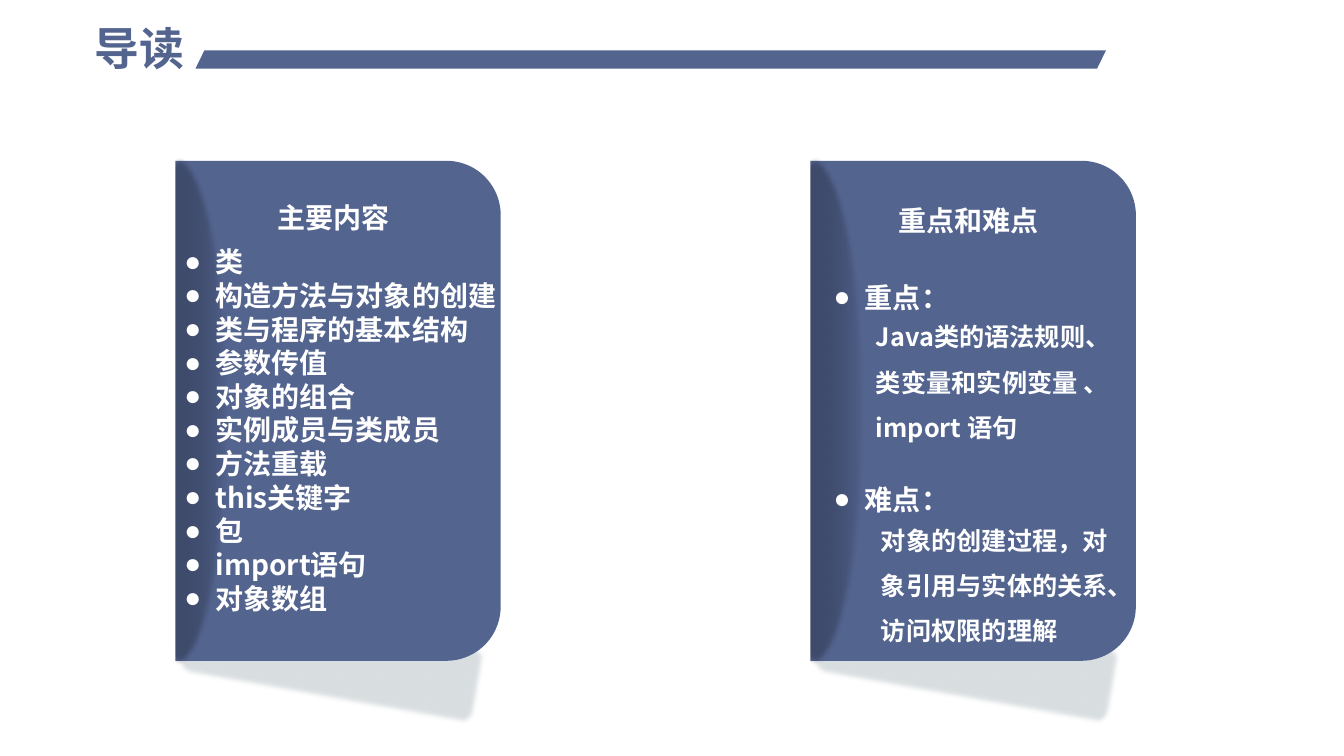
from dataclasses import dataclass

from lxml import etree
from pptx import Presentation
from pptx.dml.color import RGBColor
from pptx.enum.shapes import MSO_SHAPE
from pptx.enum.text import MSO_AUTO_SIZE
from pptx.oxml.ns import qn
from pptx.util import Inches, Pt

RECT = MSO_SHAPE.RECTANGLE
ROUND = MSO_SHAPE.ROUNDED_RECTANGLE
CARD = MSO_SHAPE.ROUND_2_SAME_RECTANGLE
OVAL = MSO_SHAPE.OVAL
SLANT = MSO_SHAPE.PARALLELOGRAM
NO_FIT = MSO_AUTO_SIZE.NONE

# The grid has 100 columns and 100 rows.
WIDE, HIGH = Inches(13.33), Inches(7.5)
COL, ROW = WIDE / 100, HIGH / 100
STEP = 47.26  # columns from the left card to the right one

FONT = "Noto Sans CJK SC"
BLUE, WHITE, GREY, BLACK = "53648F", "FFFFFF", "A1ACB2", "000000"
SOFT = Inches(0.05)


@dataclass
class Box:
    """A place on the grid, in columns and rows."""
    left: float
    top: float
    width: float
    height: float

    def shift(self, cols: float) -> "Box":
        return Box(self.left + cols, self.top, self.width, self.height)

    def size(self) -> tuple[int, ...]:
        return (round(self.left * COL), round(self.top * ROW),
                round(self.width * COL), round(self.height * ROW))


@dataclass
class Form:
    kind: int
    box: Box
    fill: str
    turn: float = 0
    bend: float | None = None
    alpha: int = 100
    fade: bool = False
    soft: bool = False


@dataclass
class Note:
    box: Box
    lines: list[str]
    size: int = 20
    color: str = WHITE
    space: float = 1
    before: int = 0
    indent: float = 0
    bullet: bool = False


PARTS = [
    Form(ROUND, Box(13.35, 81.87, 22.66, 10.93), GREY, turn=10.1, bend=0.158,
         alpha=40, soft=True),
    Form(CARD, Box(6.53, 32.8, 37.21, 43.07), BLUE, turn=90),
    Form(OVAL, Box(9.53, 20.53, 7.65, 67.47), BLUE, fade=True, soft=True),
    Form(RECT, Box(6.3, 17.73, 6.75, 72.4), WHITE),
]
BAR = Form(SLANT, Box(14.55, 6.67, 67.74, 2.4), BLUE, bend=0.49)

TOPICS = ["类", "构造方法与对象的创建", "类与程序的基本结构", "参数传值",
          "对象的组合", "实例成员与类成员", "方法重载", "this关键字", "包",
          "import语句", "对象数组"]
NOTES = [
    Note(Box(6.3, 2.13, 8.85, 8.53), ["导读"], size=32, color=BLUE),
    Note(Box(9.23, 31.73, 30.68, 50.67), TOPICS, indent=6.08, bullet=True),
    Note(Box(19.88, 25.87, 10.65, 5.87), ["主要内容"]),
    Note(Box(57.54, 32, 26.71, 37.2), ["重点：", "难点："], space=2, before=96,
         indent=6.08, bullet=True),
    Note(Box(66.09, 26.27, 12.38, 5.87), ["重点和难点"]),
    Note(Box(64.44, 39.87, 18.9, 19.47),
         ["Java类的语法规则、类变量和实例变量 、import 语句"], size=18, space=1.5),
    Note(Box(61.06, 66.8, 22.58, 19.47),
         ["对象的创建过程，对象引用与实体的关系、访问权限的理解"], size=18,
         space=1.5, indent=3.75),
]


def paint(hue: str) -> RGBColor:
    return RGBColor.from_string(hue)


def child(node, tag: str, **attrs: str):
    return etree.SubElement(node, qn(tag), attrs)


def veil(node, alpha: int) -> None:
    """Set the opacity, in percent, of the first colour under a node."""
    child(next(node.iter(qn("a:srgbClr"))), "a:alpha", val=str(alpha * 1000))


def draw(shapes, form: Form, shift: float = 0) -> None:
    shape = shapes.add_shape(form.kind, *form.box.shift(shift).size())
    shape.rotation = form.turn
    shape.shadow.inherit = False
    shape.line.fill.background()
    if form.bend is not None:
        shape.adjustments[0] = form.bend
    props = shape.element.spPr
    if form.fade:
        shape.fill.gradient()
        shape.fill.gradient_angle = 180
        for stop, hue in zip(shape.fill.gradient_stops, (BLACK, form.fill)):
            stop.color.rgb = paint(hue)
        veil(props, 0)
    else:
        shape.fill.solid()
        shape.fill.fore_color.rgb = paint(form.fill)
        if form.alpha < 100:
            veil(props, form.alpha)
    if form.soft:
        child(props.find(qn("a:effectLst")), "a:softEdge", rad=str(SOFT))


def write(shapes, note: Note) -> None:
    frame = shapes.add_textbox(*note.box.size()).text_frame
    frame.word_wrap = True
    frame.auto_size = NO_FIT
    for i, line in enumerate(note.lines):
        para = frame.add_paragraph() if i else frame.paragraphs[0]
        para.line_spacing = note.space
        if i and note.before:
            para.space_before = Pt(note.before)
        props = para._p.get_or_add_pPr()
        if note.indent:
            para.level = 1
            props.set("marL", str(round(note.indent * COL)))
            props.set("indent", "0")
        if note.bullet:
            props.set("indent", str(round(-2.33 * COL)))
            child(props, "a:buFont", typeface="Arial")
            child(props, "a:buChar", char="●")
        run = para.add_run()
        run.text = line
        font = run.font
        font.name, font.size, font.bold = FONT, Pt(note.size), True
        font.color.rgb = paint(note.color)
        child(run._r.get_or_add_rPr(), "a:ea", typeface=FONT)


def main() -> None:
    deck = Presentation()
    deck.slide_width, deck.slide_height = WIDE, HIGH
    shapes = deck.slides.add_slide(deck.slide_layouts[6]).shapes
    for shift in (0, STEP):
        for part in PARTS:
            draw(shapes, part, shift)
    draw(shapes, BAR)
    for note in NOTES:
        write(shapes, note)
    deck.save("out.pptx")


if __name__ == "__main__":
    main()
